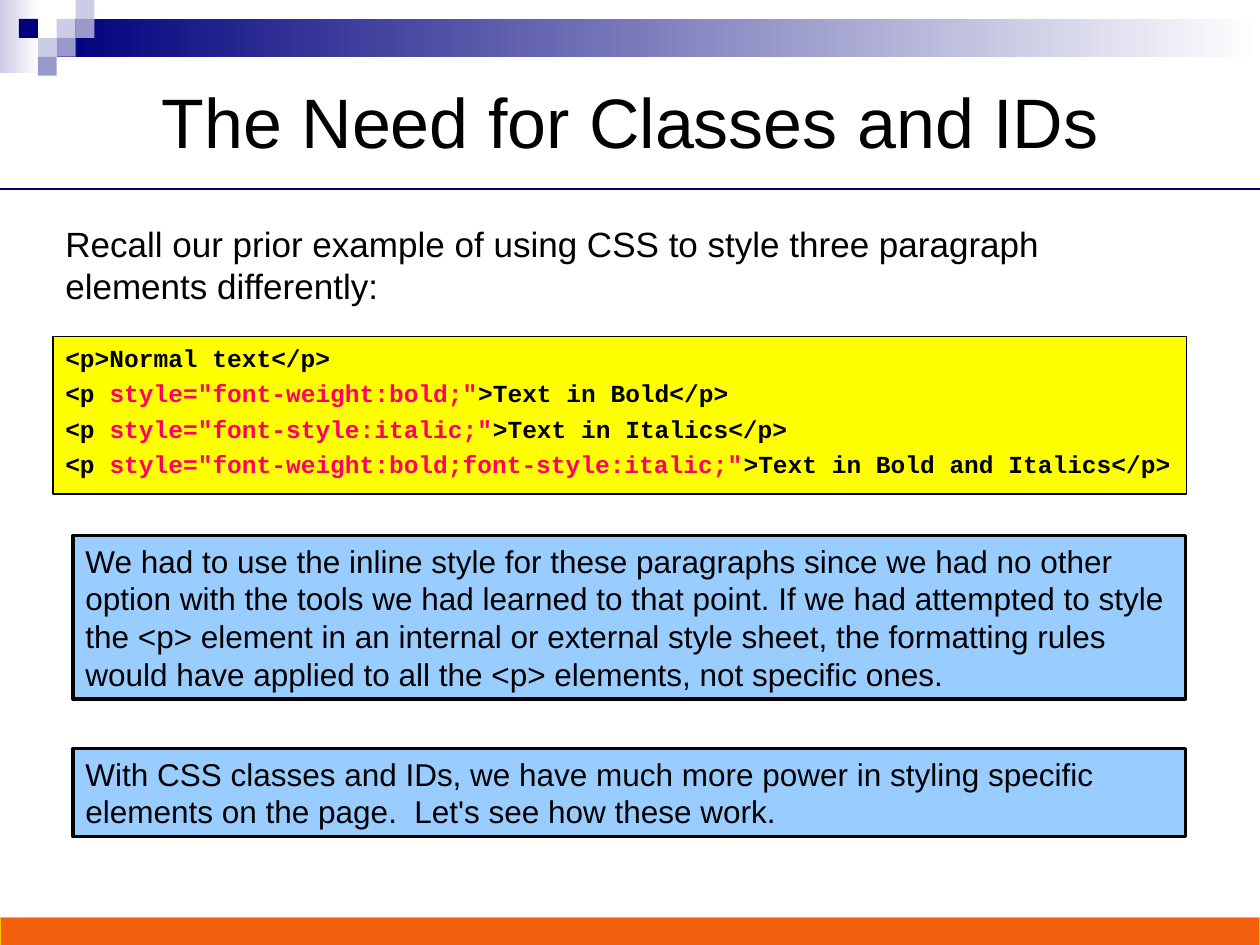
from lxml import etree
from pptx import Presentation
from pptx import util as u
from pptx.dml.color import RGBColor
from pptx.enum import shapes, text

Pt = u.Pt
BLACK = RGBColor(0x00, 0x00, 0x00)
WHITE = RGBColor(0xFF, 0xFF, 0xFF)
NAVY = RGBColor(0x00, 0x00, 0x7D)
LAVENDER = RGBColor(0xCC, 0xCC, 0xE6)
VIOLET = RGBColor(0x99, 0x99, 0xCC)
YELLOW = RGBColor(0xFF, 0xFF, 0x00)
PINK = RGBColor(0xFF, 0x00, 0x66)
SKY = RGBColor(0x99, 0xCC, 0xFF)
ORANGE = RGBColor(0xF3, 0x5F, 0x0D)
GOLD = RGBColor(0xFF, 0xC0, 0x00)

deck = Presentation()
deck.slide_width, deck.slide_height = Pt(720), Pt(540)
page = deck.slides.add_slide(deck.slide_layouts[5])


def add_rectangle(left, top, width, height, fill, line=None, line_width=0.75):
    """Add a flat rectangle; a pair of colours makes a left-to-right gradient."""
    box = page.shapes.add_shape(shapes.MSO_SHAPE.RECTANGLE,
                                Pt(left), Pt(top), Pt(width), Pt(height))
    box.shadow.inherit = False
    if isinstance(fill, RGBColor):
        box.fill.solid()
        box.fill.fore_color.rgb = fill
    else:
        box.fill.gradient()
        box.fill.gradient_angle = 0
        for stop, color in zip(box.fill.gradient_stops, fill):
            stop.color.rgb = color
    if line is None:
        box.line.fill.background()
    else:
        box.line.color.rgb = line
        box.line.width = Pt(line_width)
    return box


def write(box, paragraphs, size, font="Arial", bold=False, align=text.PP_ALIGN.LEFT,
          anchor=text.MSO_ANCHOR.TOP, before=0, after=0, hanging=0):
    """Fill a box with paragraphs, each a list of (text, colour) spans."""
    frame = box.text_frame
    frame.word_wrap = True
    frame.vertical_anchor = anchor
    for index, spans in enumerate(paragraphs):
        para = frame.add_paragraph() if index else frame.paragraphs[0]
        para.alignment = align
        para.space_before = Pt(before if index else 0)
        para.space_after = Pt(after)
        if hanging:
            properties = para._p.get_or_add_pPr()
            properties.set("marL", str(Pt(hanging)))
            properties.set("indent", str(-Pt(hanging)))
        for words, color in spans:
            span = para.add_run()
            span.text = words
            span.font.name = font
            span.font.size = Pt(size)
            span.font.bold = bold
            span.font.color.rgb = color


# Header band and its squares, on a grid of equal cells
CELL = 10.8
add_rectangle(0, 0, 22.32, 41.76, (LAVENDER, WHITE))
add_rectangle(3 * CELL, CELL, 720 - 3 * CELL, 2 * CELL, (NAVY, WHITE))
for column, row, color in [(3, 1, LAVENDER), (4, 0, LAVENDER), (4, 1, VIOLET),
                           (2, 2, LAVENDER), (1, 1, NAVY), (3, 2, VIOLET),
                           (2, 3, VIOLET)]:
    add_rectangle(column * CELL, row * CELL, CELL, CELL, color)

# Title and the rule below it
title = page.shapes.title
title.left, title.top, title.width, title.height = Pt(36), Pt(30.24), Pt(648), Pt(77.76)
write(title, [[("The Need for Classes and IDs", BLACK)]], 40,
      align=text.PP_ALIGN.CENTER, anchor=text.MSO_ANCHOR.MIDDLE)
rule = page.shapes.add_connector(shapes.MSO_CONNECTOR.STRAIGHT,
                                 Pt(0), Pt(108), Pt(720), Pt(108))
rule.line.color.rgb = NAVY
rule.line.width = Pt(1.25)
etree.SubElement(rule._element.spPr,
                 "{http://schemas.openxmlformats.org/drawingml/2006/main}effectLst")

# Introduction
intro = page.shapes.add_textbox(Pt(30.24), Pt(123.84), Pt(648), Pt(55.44))
write(intro, [[("Recall our prior example of using CSS to style three paragraph "
                "elements differently:", BLACK)]], 20)

# Code sample
styled_lines = [
    ('style="font-weight:bold;"', "Text in Bold"),
    ('style="font-style:italic;"', "Text in Italics"),
    ('style="font-weight:bold;font-style:italic;"', "Text in Bold and Italics"),
]
code = [[("<p>Normal text</p>", BLACK)]]
for style, words in styled_lines:
    code.append([("<p ", BLACK), (style, PINK), (f">{words}</p>", BLACK)])
code_box = add_rectangle(30.24, 192.24, 648, 90, YELLOW, BLACK)
write(code_box, code, 14, font="Courier New", bold=True, before=3.5, hanging=27)

# Explanations
explanations = [
    (306, 93.6,
     "We had to use the inline style for these paragraphs since we had no other "
     "option with the tools we had learned to that point. If we had attempted to "
     "style the <p> element in an internal or external style sheet, the formatting "
     "rules would have applied to all the <p> elements, not specific ones."),
    (427.68, 50.4,
     "With CSS classes and IDs, we have much more power in styling specific "
     "elements on the page.  Let's see how these work."),
]
for top, height, words in explanations:
    box = add_rectangle(41.76, top, 635.76, height, SKY, BLACK, 2)
    write(box, [[(words, BLACK)]], 18, after=6)

# Footer bar
add_rectangle(0, 524.16, 720, 18, ORANGE, GOLD)

deck.save("out.pptx")
